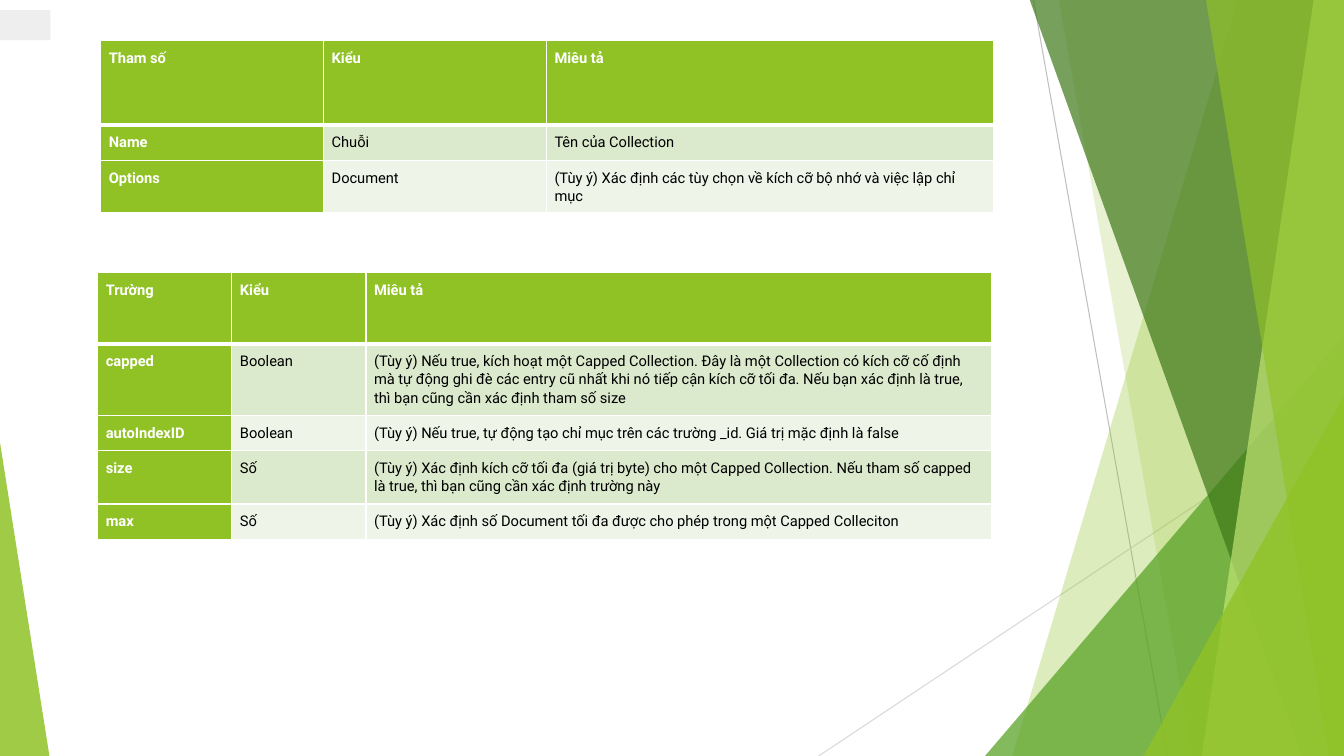
"""Build a slide with two tables of collection parameters over a green faceted backdrop."""
from dataclasses import dataclass

from pptx import Presentation
from pptx import util as u
from pptx.dml.color import RGBColor
from pptx.enum import shapes
from pptx.oxml.ns import qn
from lxml import etree


@dataclass(frozen=True)
class Theme:
    lime: str = "90C226"
    leaf: str = "54A021"
    forest: str = "3F7819"
    pale: str = "C0E474"
    bands: tuple = ("DBE9CD", "EEF4E8")
    white: str = "FFFFFF"
    black: str = "000000"
    tab: str = "EEEEEE"
    rays: tuple = ("BFBFBF", "D9D9D9")
    ray_width: float = 0.75
    font: str = "Roboto"
    size: float = 10.5
    grid: float = 1
    header_rule: float = 3


def px(length):
    return u.Emu(length * 9144)


def apply(target, formats):
    for name, value in formats.items():
        setattr(target, name, value)


class Deck:
    """Hold the theme and the current slide, and draw elements on it."""

    def __init__(self, theme, width, height):
        self.theme = theme
        self.deck = Presentation()
        apply(self.deck, {"slide_width": px(width), "slide_height": px(height)})
        self.slide = self.deck.slides.add_slide(self.deck.slide_layouts[6])

    def ray(self, start, end, color):
        ray = self.slide.shapes.add_connector(
            shapes.MSO_CONNECTOR.STRAIGHT, *map(px, start + end))
        ray.line.color.rgb = RGBColor.from_string(color)
        ray.line.width = u.Pt(self.theme.ray_width)
        etree.SubElement(ray._element.spPr, qn("a:effectLst"))

    def paint(self, facet, color, opacity):
        facet.shadow.inherit = False
        facet.line.fill.background()
        facet.fill.solid()
        facet.fill.fore_color.rgb = RGBColor.from_string(color)
        if opacity < 100:
            tint = facet._element.spPr.find(qn("a:solidFill"))[0]
            etree.SubElement(tint, qn("a:alpha"), val=str(opacity * 1000))

    def facet(self, corners, color, opacity):
        outline = self.slide.shapes.build_freeform(*corners[0], scale=px(1))
        outline.add_line_segments(corners[1:], close=True)
        self.paint(outline.convert_to_shape(), color, opacity)

    def preset(self, kind, box, color, opacity=100, adjust=None):
        preset = self.slide.shapes.add_shape(kind, *map(px, box))
        if adjust is not None:
            preset.adjustments[0] = adjust
        self.paint(preset, color, opacity)

    def border(self, cell, side, width):
        rule = etree.SubElement(cell._tc.get_or_add_tcPr(), qn(f"a:ln{side}"), w=str(u.Pt(width)))
        fill = etree.SubElement(rule, qn("a:solidFill"))
        etree.SubElement(fill, qn("a:srgbClr"), val=self.theme.white)

    def cell(self, cell, wording, row, column):
        theme = self.theme
        heading = row == 0 or column == 0
        for side in "LRTB":
            under_header = (side, row) in (("B", 0), ("T", 1))
            self.border(cell, side, theme.header_rule if under_header else theme.grid)
        cell.fill.solid()
        shade = theme.lime if heading else theme.bands[(row - 1) % 2]
        cell.fill.fore_color.rgb = RGBColor.from_string(shade)
        apply(cell, {f"margin_{side}": px(8) for side in ("left", "right", "top", "bottom")})
        paragraph = cell.text_frame.paragraphs[0]
        apply(paragraph, {"line_spacing": 1.07, "space_after": u.Pt(15)})
        run = paragraph.add_run()
        run.text = wording
        apply(run.font, {"name": theme.font, "size": u.Pt(theme.size), "bold": heading})
        run.font.color.rgb = RGBColor.from_string(theme.white if heading else theme.black)

    def table(self, left, top, widths, heights, rows):
        box = (left, top, sum(widths), sum(heights))
        table = self.slide.shapes.add_table(len(rows), len(widths), *map(px, box)).table
        apply(table, {"horz_banding": False, "first_col": True})
        for column, width in zip(table.columns, widths):
            column.width = px(width)
        for r, (height, wordings) in enumerate(zip(heights, rows)):
            table.rows[r].height = px(height)
            for c, wording in enumerate(wordings):
                self.cell(table.cell(r, c), wording, r, c)


PARAMETERS = [
    ("Tham số", "Kiểu", "Miêu tả"),
    ("Name", "Chuỗi", "Tên của Collection"),
    ("Options", "Document",
     "(Tùy ý) Xác định các tùy chọn về kích cỡ bộ nhớ và việc lập chỉ mục"),
]
OPTION_FIELDS = [
    ("Trường", "Kiểu", "Miêu tả"),
    ("capped", "Boolean",
     "(Tùy ý) Nếu true, kích hoạt một Capped Collection. Đây là một Collection có kích cỡ "
     "cố định mà tự động ghi đè các entry cũ nhất khi nó tiếp cận kích cỡ tối đa. "
     "Nếu bạn xác định là true, thì bạn cũng cần xác định tham số size"),
    ("autoIndexID", "Boolean",
     "(Tùy ý) Nếu true, tự động tạo chỉ mục trên các trường _id. Giá trị mặc định là false"),
    ("size", "Số",
     "(Tùy ý) Xác định kích cỡ tối đa (giá trị byte) cho một Capped Collection. "
     "Nếu tham số capped là true, thì bạn cũng cần xác định trường này"),
    ("max", "Số",
     "(Tùy ý) Xác định số Document tối đa được cho phép trong một Capped Colleciton"),
]


def main():
    theme = Theme()
    right, bottom = 1333, 750
    deck = Deck(theme, right, bottom)
    triangle = shapes.MSO_SHAPE.ISOSCELES_TRIANGLE

    def shard(top_left, bottom_left, color, opacity):
        corners = [(top_left, -1), (right, -1), (right, bottom), (bottom_left, bottom)]
        deck.facet(corners, color, opacity)

    deck.ray((1025, 0), (1158, bottom), theme.rays[0])
    deck.ray((right, 403), (812, bottom), theme.rays[1])
    shard(1228, 1004, theme.lime, 30)
    shard(1050, 1183, theme.lime, 20)
    deck.preset(triangle, (977, 333, 356, 417), theme.leaf, 72, adjust=1)
    shard(1021, 1291, theme.forest, 70)
    shard(1303, 1192, theme.pale, 70)
    shard(1196, 1318, theme.lime, 65)
    deck.preset(triangle, (1134, 393, 199, 357), theme.lime, 80, adjust=1)
    deck.preset(triangle, (0, 439, 49, 311), theme.lime, 85, adjust=0)

    deck.table(100, 40, (221, 221, 444), (84, 35, 52), PARAMETERS)
    deck.table(97, 270, (133, 133, 620), (71, 71, 35, 53, 35), OPTION_FIELDS)
    deck.preset(shapes.MSO_SHAPE.RECTANGLE, (0, 10, 50, 30), theme.tab)
    deck.deck.save("out.pptx")


if __name__ == "__main__":
    main()
